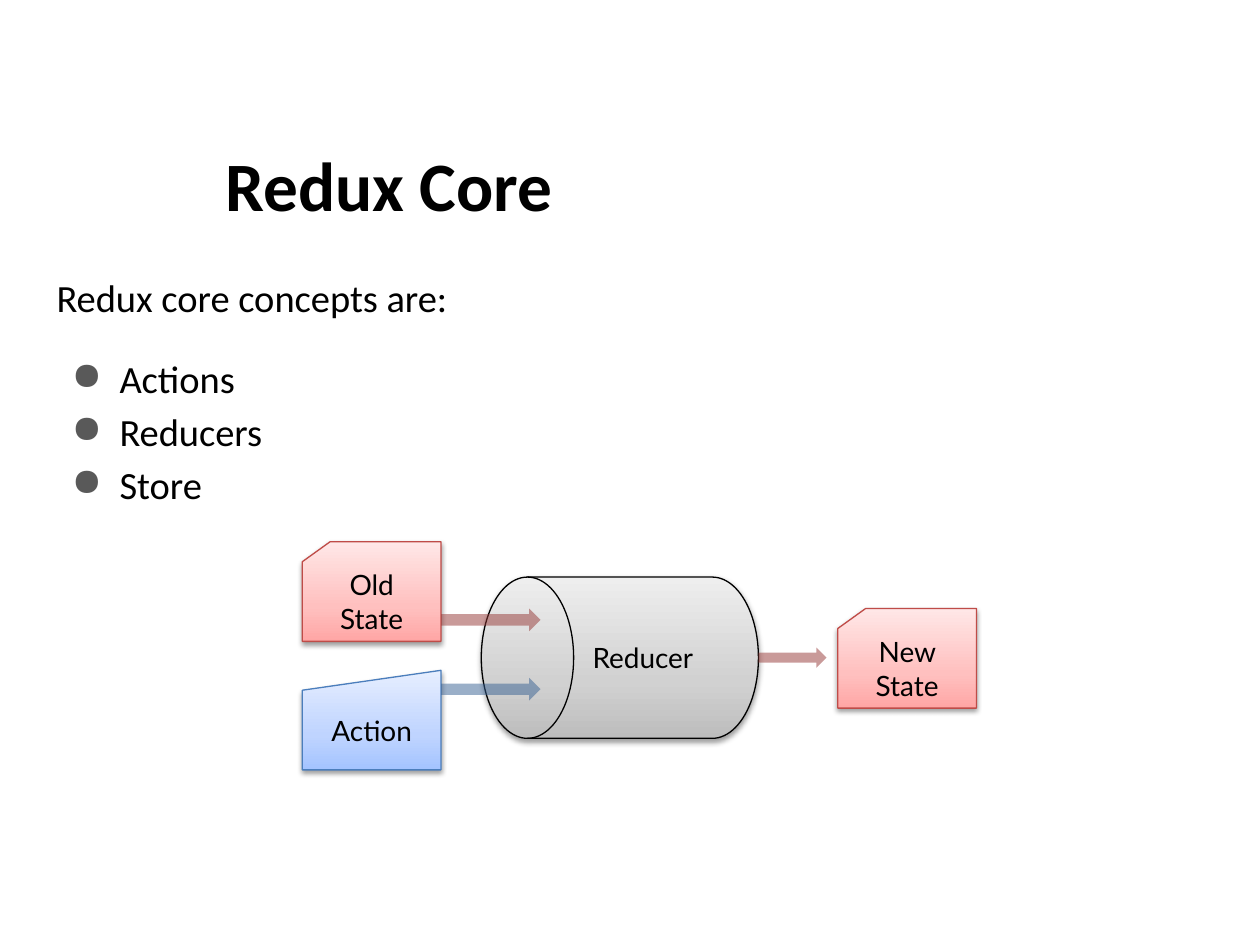
import pptx
import pptx.util
import pptx.dml.color
import pptx.enum.shapes
import pptx.enum.text
import pptx.oxml
import pptx.oxml.ns

Inches = pptx.util.Inches
Pt = pptx.util.Pt
RGBColor = pptx.dml.color.RGBColor
SHAPE = pptx.enum.shapes.MSO_SHAPE
MIDDLE = pptx.enum.text.MSO_ANCHOR.MIDDLE
CENTER = pptx.enum.text.PP_ALIGN.CENTER
qn = pptx.oxml.ns.qn
NS = pptx.oxml.ns.nsdecls("a")

BLACK = RGBColor(0x00, 0x00, 0x00)
BULLET_GREY = RGBColor(0x59, 0x59, 0x59)
STATE_LINE = RGBColor(0xBF, 0x4C, 0x48)
ACTION_LINE = RGBColor(0x4B, 0x7E, 0xBC)
STATE_ARROW = RGBColor(0x95, 0x37, 0x35)
ACTION_ARROW = RGBColor(0x37, 0x60, 0x92)
# Gradient colours from bottom to top
STATE_FILL = (RGBColor(0xFF, 0xA6, 0xA5), RGBColor(0xFF, 0xC0, 0xBF), RGBColor(0xFF, 0xE7, 0xE7))
ACTION_FILL = (RGBColor(0xA4, 0xC4, 0xFF), RGBColor(0xBF, 0xD4, 0xFF), RGBColor(0xE6, 0xEE, 0xFF))
REDUCER_FILL = (RGBColor(0xBD, 0xBD, 0xBD), RGBColor(0xD1, 0xD1, 0xD1), RGBColor(0xEE, 0xEE, 0xEE))


def add_text(paragraph, text, font_name, size, bold=False):
    run = paragraph.add_run()
    run.text = text
    run.font.name = font_name
    run.font.size = Pt(size)
    run.font.bold = bold
    run.font.color.rgb = BLACK


def add_text_box(left, top, width, height):
    frame = slide.shapes.add_textbox(Inches(left), Inches(top), Inches(width), Inches(height)).text_frame
    frame.word_wrap = True
    frame.margin_left = frame.margin_right = Inches(0.1)
    frame.margin_top = frame.margin_bottom = Inches(0.1)
    return frame


deck = pptx.Presentation()
deck.slide_width = Inches(10)
deck.slide_height = Inches(7.5)
slide = deck.slides.add_slide(deck.slide_layouts[6])

# Concept list
concepts = add_text_box(0.35, 2.02, 9.45, 5.2)
intro = concepts.paragraphs[0]
intro.line_spacing = 1.15
add_text(intro, "Redux core concepts are:", "Calibri", 22)
for index, concept in enumerate(["Actions", "Reducers", "Store"]):
    item = concepts.add_paragraph()
    item_props = item._p.get_or_add_pPr()
    item_props.set("marL", str(Inches(0.5)))
    item_props.set("indent", str(Inches(-0.38)))
    item_props.append(pptx.oxml.parse_xml(
        f'<a:buClr {NS}><a:srgbClr val="{BULLET_GREY}"/></a:buClr>'))
    item_props.append(pptx.oxml.parse_xml(f'<a:buChar {NS} char="●"/>'))
    item.line_spacing = 1.15
    if index == 0:
        item.space_before = Pt(16)
    add_text(item, concept, "Calibri", 22)

# Title
title = add_text_box(1.69, 1.07, 8.11, 0.78)
title.vertical_anchor = MIDDLE
add_text(title.paragraphs[0], "Redux Core", "Calibri", 39.6, bold=True)

# State, action and reducer nodes
nodes = [
    ("Old State", SHAPE.FLOWCHART_CARD, 2.4, 4.3, 1.1, 0.79, STATE_FILL, STATE_LINE),
    ("Action", SHAPE.FLOWCHART_MANUAL_INPUT, 2.4, 5.32, 1.1, 0.79, ACTION_FILL, ACTION_LINE),
    ("Reducer", SHAPE.FLOWCHART_DIRECT_ACCESS_STORAGE, 3.82, 4.58, 2.2, 1.28, REDUCER_FILL, BLACK),
    ("New State", SHAPE.FLOWCHART_CARD, 6.65, 4.83, 1.1, 0.79, STATE_FILL, STATE_LINE),
]
for label, preset, left, top, width, height, colours, outline in nodes:
    node = slide.shapes.add_shape(preset, Inches(left), Inches(top), Inches(width), Inches(height))
    node_props = node._element.spPr
    if label == "Reducer":
        node_props.find(qn("a:xfrm")).set("flipH", "1")

    # Three-stop gradient rising from the bottom
    node.fill.gradient()
    gradient = node_props.find(qn("a:gradFill"))
    stops = "".join(
        f'<a:gs pos="{position * 1000}"><a:srgbClr val="{colour}"/></a:gs>'
        for position, colour in zip((0, 35, 100), colours))
    gradient.replace(gradient.find(qn("a:gsLst")),
                     pptx.oxml.parse_xml(f"<a:gsLst {NS}>{stops}</a:gsLst>"))
    gradient.find(qn("a:lin")).set("ang", str(270 * 60000))
    node.line.color.rgb = outline
    node.line.width = Pt(0.75)

    # Soft shadow straight below
    node.shadow.inherit = False
    node_props.find(qn("a:effectLst")).append(pptx.oxml.parse_xml(
        f'<a:outerShdw {NS} blurRad="{Pt(3.1)}" dist="{Pt(1.6)}" dir="{90 * 60000}" rotWithShape="0">'
        f'<a:srgbClr val="{BLACK}"><a:alpha val="38000"/></a:srgbClr></a:outerShdw>'))

    node.text_frame.word_wrap = True
    node.text_frame.vertical_anchor = MIDDLE
    caption = node.text_frame.paragraphs[0]
    caption.alignment = CENTER
    add_text(caption, label, "Lato", 16)

# Half-transparent flow arrows
flows = [
    (3.5, 4.83, 0.79, 0.18, STATE_ARROW),
    (3.5, 5.38, 0.79, 0.18, ACTION_ARROW),
    (6.02, 5.14, 0.54, 0.16, STATE_ARROW),
]
for left, top, width, height, colour in flows:
    flow = slide.shapes.add_shape(
        SHAPE.RIGHT_ARROW, Inches(left), Inches(top), Inches(width), Inches(height))
    flow.shadow.inherit = False
    flow.line.fill.background()
    flow.fill.solid()
    flow.fill.fore_color.rgb = colour
    flow_colour = flow._element.spPr.find(qn("a:solidFill")).find(qn("a:srgbClr"))
    flow_colour.append(pptx.oxml.parse_xml(f'<a:alpha {NS} val="50000"/>'))

deck.save("out.pptx")
